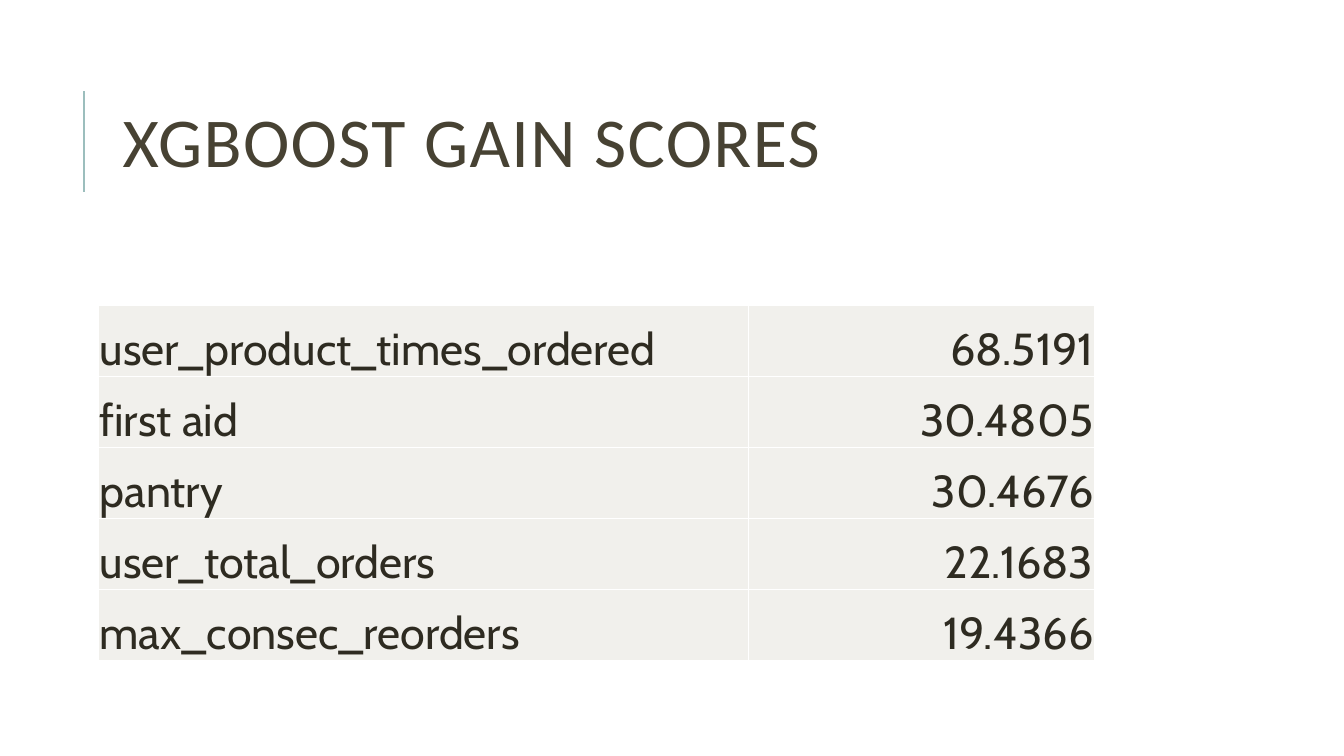
from lxml import etree
from pptx import Presentation
from pptx.dml.color import RGBColor
from pptx.enum.shapes import MSO_CONNECTOR
from pptx.enum.text import MSO_ANCHOR, PP_ALIGN
from pptx.oxml import parse_xml
from pptx.oxml.ns import nsdecls, qn
from pptx.util import Cm, Pt

TITLE = "XGBOOST GAIN SCORES"
SCORES = [
    ("user_product_times_ordered", "68.5191"),
    ("first aid", "30.4805"),
    ("pantry", "30.4676"),
    ("user_total_orders", "22.1683"),
    ("max_consec_reorders", "19.4366"),
]

TITLE_COLOR = RGBColor(0x47, 0x42, 0x33)
TEXT_COLOR = RGBColor(0x2E, 0x2B, 0x21)
CELL_COLOR = RGBColor(0xF1, 0xF0, 0xEC)
BORDER_COLOR = RGBColor(0xFF, 0xFF, 0xFF)
ACCENT_COLOR = RGBColor(0x9C, 0xBE, 0xBD)

STRAIGHT = MSO_CONNECTOR.STRAIGHT
MIDDLE, BOTTOM = MSO_ANCHOR.MIDDLE, MSO_ANCHOR.BOTTOM
ALIGNS = (PP_ALIGN.LEFT, PP_ALIGN.RIGHT)

COL_WIDTHS = (Cm(16.38), Cm(8.71))
ROW_HEIGHT = Cm(1.79)
CELL_INSET = Cm(0.02)


def add_run(p, text, font, size, color):
    r = p.add_run()
    r.text = text
    r.font.name = font
    r.font.size = Pt(size)
    r.font.color.rgb = color
    return r


def add_borders(cell):
    """Draw a thin line on all four sides; borders must precede the fill."""
    tcPr = cell._tc.get_or_add_tcPr()
    for i, side in enumerate("LRTB"):
        tcPr.insert(i, parse_xml(
            f'<a:ln{side} {nsdecls("a")} w="{Pt(1)}"><a:solidFill>'
            f'<a:srgbClr val="{BORDER_COLOR}"/></a:solidFill></a:ln{side}>'))


def add_title(slide):
    line = slide.shapes.add_connector(STRAIGHT, Cm(2.11), Cm(4.83), Cm(2.11), Cm(2.29))
    line.line.color.rgb = ACCENT_COLOR
    line.line.width = Pt(1.5)
    etree.SubElement(line._element.spPr, qn("a:effectLst"))

    tf = slide.shapes.add_textbox(Cm(2.84), Cm(1.63), Cm(27), Cm(4.17)).text_frame
    tf.word_wrap = True
    tf.vertical_anchor = MIDDLE
    p = tf.paragraphs[0]
    p.line_spacing = 0.8
    r = add_run(p, TITLE, "Calibri", 50, TITLE_COLOR)
    r.font._element.set("spc", "100")


def add_scores(slide):
    table = slide.shapes.add_table(
        len(SCORES), len(COL_WIDTHS), Cm(2.49), Cm(7.7),
        sum(COL_WIDTHS), ROW_HEIGHT * len(SCORES)).table
    table.first_row = table.horz_banding = False
    for column, width in zip(table.columns, COL_WIDTHS):
        column.width = width
    for row, texts in zip(table.rows, SCORES):
        row.height = ROW_HEIGHT
        for cell, text, align in zip(row.cells, texts, ALIGNS):
            cell.fill.solid()
            cell.fill.fore_color.rgb = CELL_COLOR
            add_borders(cell)
            cell.vertical_anchor = BOTTOM
            cell.margin_left = cell.margin_right = cell.margin_top = CELL_INSET
            cell.margin_bottom = 0
            p = cell.text_frame.paragraphs[0]
            p.alignment = align
            add_run(p, text, "Cabin", 32, TEXT_COLOR)


def main():
    prs = Presentation()
    prs.slide_width, prs.slide_height = Cm(33.87), Cm(19.05)
    slide = prs.slides.add_slide(prs.slide_layouts[6])
    add_title(slide)
    add_scores(slide)
    prs.save("out.pptx")


if __name__ == "__main__":
    main()
